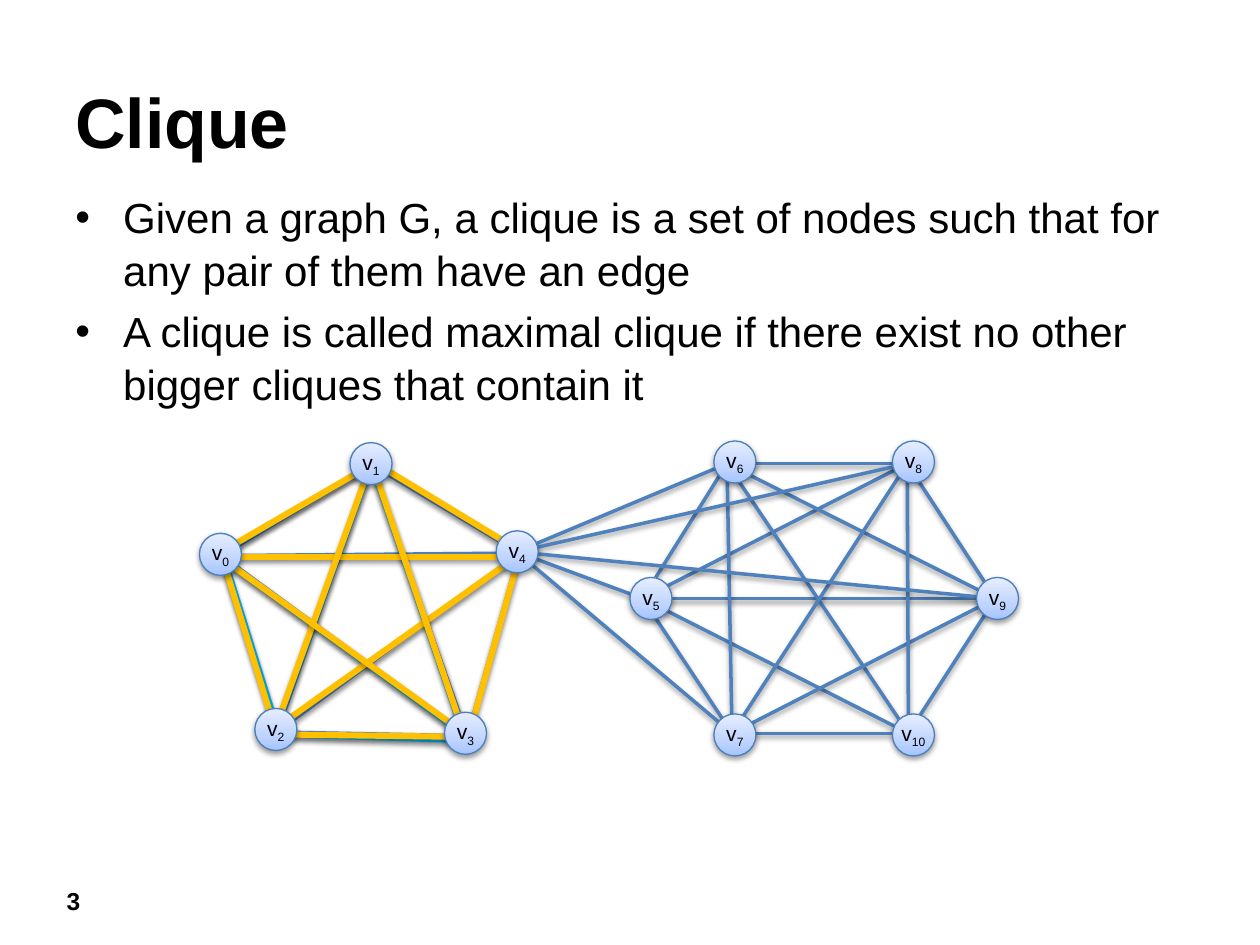
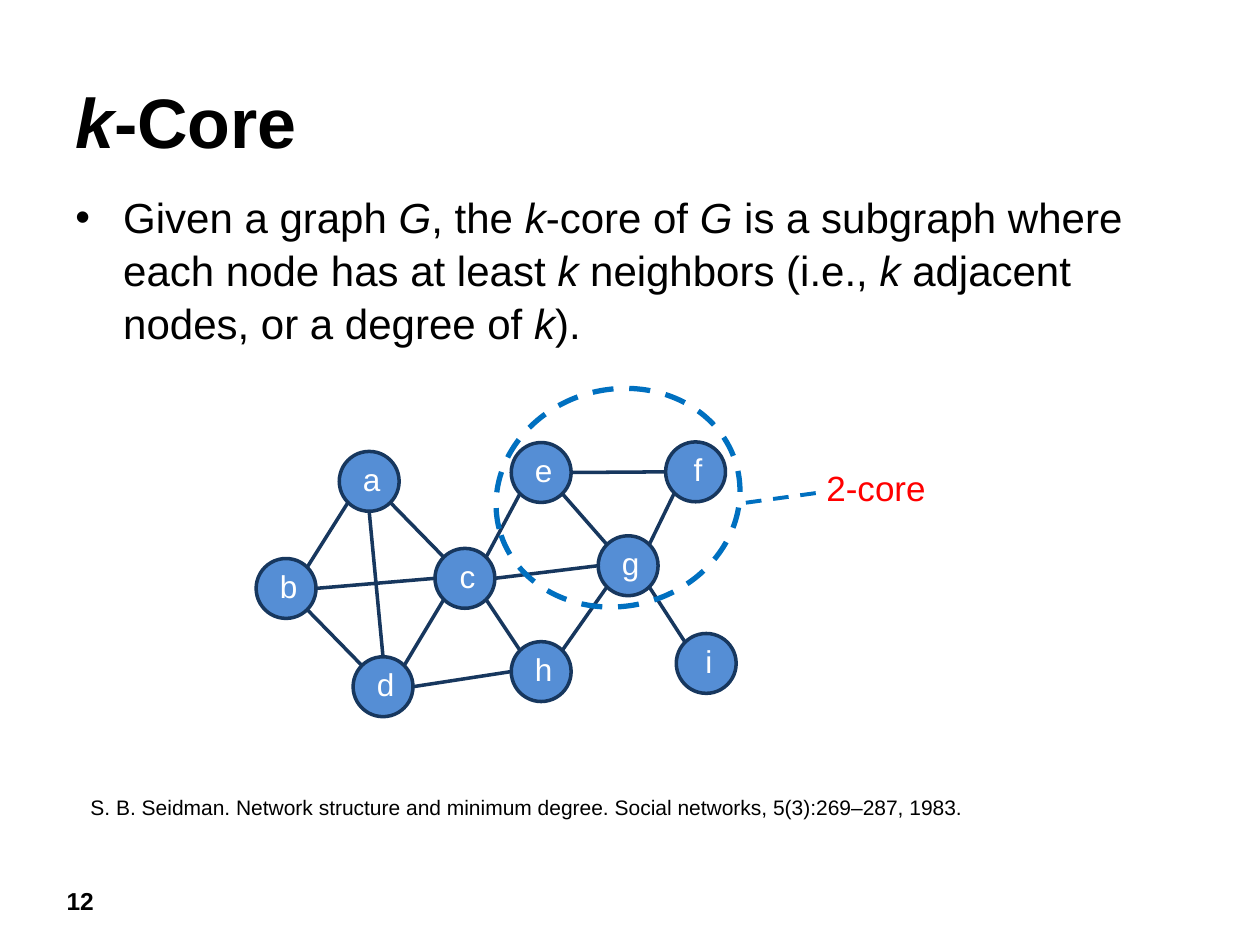
import copy
import itertools
import math

import lxml.etree
import pptx
import pptx.dml.color
import pptx.enum.dml
import pptx.enum.shapes
import pptx.enum.text
import pptx.oxml.ns
import pptx.util

RGBColor = pptx.dml.color.RGBColor
SHAPE = pptx.enum.shapes.MSO_SHAPE
ANCHOR = pptx.enum.text.MSO_ANCHOR
ALIGN = pptx.enum.text.PP_ALIGN
DASH = pptx.enum.dml.MSO_LINE.DASH
Pt = pptx.util.Pt
qn = pptx.oxml.ns.qn

BLACK = RGBColor(0x00, 0x00, 0x00)
WHITE = RGBColor(0xFF, 0xFF, 0xFF)
RED = RGBColor(0xFF, 0x00, 0x00)
EDGE_BLUE = RGBColor(0x4F, 0x81, 0xBD)
RIM_BLUE = RGBColor(0x4B, 0x7E, 0xBC)
CYAN = RGBColor(0x00, 0xB0, 0xF0)
GOLD = RGBColor(0xFF, 0xC0, 0x00)
NAVY = RGBColor(0x17, 0x37, 0x5E)
NODE_BLUE = RGBColor(0x55, 0x8E, 0xD5)
CORE_BLUE = RGBColor(0x00, 0x70, 0xC0)
GRADIENT = [(0, RGBColor(0xA4, 0xC4, 0xFF)), (0.35, RGBColor(0xBF, 0xD4, 0xFF)),
            (1, RGBColor(0xE6, 0xEE, 0xFF))]

FONT = "Arial"
COLUMNS, ROWS = 100, 75
SOFT = (38, 1.6)
STRONG = (35, 1.8)


class Deck:
    def __init__(self):
        self.prs = pptx.Presentation()
        self.prs.slide_width = pptx.util.Inches(10)
        self.prs.slide_height = pptx.util.Inches(7.5)
        self.s = None

    def x(self, columns):
        return round(self.prs.slide_width * columns / COLUMNS)

    def y(self, rows):
        return round(self.prs.slide_height * rows / ROWS)

    def box(self, left, top, width, height):
        return self.x(left), self.y(top), self.x(width), self.y(height)

    def slide(self, title, number):
        self.s = self.prs.slides.add_slide(self.prs.slide_layouts[6])
        self.text((4.3, 69.8, 4.7, 3.4), [str(number)], 14, bold=True)
        self.text((5, 5.2, 90, 8.7), [title], 40, bold=True, anchor=ANCHOR.MIDDLE)

    def run(self, p, text, size, color=BLACK, bold=False, italic=False, baseline=0):
        r = p.add_run()
        r.text = text
        r.font.name, r.font.size = FONT, Pt(size)
        r.font.bold, r.font.italic = bold, italic
        r.font.color.rgb = color
        if baseline:
            r.font._element.set("baseline", str(baseline * 1000))

    def text(self, place, lines, size, color=BLACK, bold=False, anchor=ANCHOR.TOP, bullet=False):
        tf = self.s.shapes.add_textbox(*self.box(*place)).text_frame
        tf.word_wrap = True
        tf.vertical_anchor = anchor
        for i, line in enumerate(lines):
            p = tf.add_paragraph() if i else tf.paragraphs[0]
            if bullet:
                self.bullet(p, size)
            for j, part in enumerate(line.split("*")):
                if part:
                    self.run(p, part, size, color, bold, italic=j % 2 == 1)

    def bullet(self, p, size):
        p.space_before = Pt(size * 0.2)
        p.line_spacing = 1.05
        pPr = p._p.get_or_add_pPr()
        pPr.set("marL", str(self.x(3.8)))
        pPr.set("indent", str(-self.x(3.8)))
        lxml.etree.SubElement(pPr, qn("a:buFont")).set("typeface", FONT)
        lxml.etree.SubElement(pPr, qn("a:buChar")).set("char", "•")

    def body(self, lines):
        self.text((5, 14.5, 90, 18.9), lines, 24, bullet=True)

    def effect(self, sp, shadow):
        effects = lxml.etree.SubElement(sp._element.spPr, qn("a:effectLst"))
        if shadow:
            alpha, distance = shadow
            outer = lxml.etree.SubElement(effects, qn("a:outerShdw"), blurRad=str(Pt(3.1)),
                                          dist=str(Pt(distance)), dir="5400000", rotWithShape="0")
            tint = lxml.etree.SubElement(outer, qn("a:srgbClr"), val=str(BLACK))
            lxml.etree.SubElement(tint, qn("a:alpha"), val=str(alpha * 1000))

    def outline(self, sp, color, width, dash=None, shadow=None):
        sp.line.color.rgb = color
        sp.line.width = Pt(width)
        if dash:
            sp.line.dash_style = dash
        self.effect(sp, shadow)

    def edge(self, start, end, color, width, dash=None, shadow=None):
        sp = self.s.shapes.add_connector(
            pptx.enum.shapes.MSO_CONNECTOR.STRAIGHT,
            self.x(start[0]), self.y(start[1]), self.x(end[0]), self.y(end[1]))
        self.outline(sp, color, width, dash, shadow)

    def label_frame(self, sp, left=0, bottom=0):
        tf = sp.text_frame
        tf.margin_left, tf.margin_bottom = self.x(left), self.y(bottom)
        tf.margin_right = tf.margin_top = 0
        tf.vertical_anchor = ANCHOR.MIDDLE
        p = tf.paragraphs[0]
        p.alignment = ALIGN.CENTER
        return p

    def disc(self, kind, center, size):
        return self.s.shapes.add_shape(
            kind, *self.box(center[0] - size / 2, center[1] - size / 2, size, size))

    def vertex(self, center, index):
        sp = self.disc(SHAPE.FLOWCHART_CONNECTOR, center, 3.34)
        sp.fill.gradient()
        sp.fill.gradient_angle = 90
        first = sp.fill.gradient_stops[0]._gs
        first.addnext(copy.deepcopy(first))
        for stop, (position, color) in zip(sp.fill.gradient_stops, GRADIENT):
            stop.position = position
            stop.color.rgb = color
        self.outline(sp, RIM_BLUE, 0.75, shadow=SOFT)
        p = self.label_frame(sp)
        self.run(p, "v", 12)
        self.run(p, str(index), 12, baseline=-25)

    def node(self, center, size, name):
        sp = self.disc(SHAPE.OVAL, center, size)
        sp.fill.solid()
        sp.fill.fore_color.rgb = NODE_BLUE
        self.outline(sp, NAVY, 2)
        self.run(self.label_frame(sp, left=0.4, bottom=0.4), name, 18, WHITE)

    def ring(self, place, rotation):
        sp = self.s.shapes.add_shape(SHAPE.OVAL, *self.box(*place))
        sp.rotation = rotation
        sp.fill.background()
        self.outline(sp, CORE_BLUE, 3, DASH)


def rim_point(center, target, radius):
    angle = math.atan2(target[1] - center[1], target[0] - center[0])
    step = math.pi / 4
    angle = round(angle / step) * step
    return center[0] + radius * math.cos(angle), center[1] + radius * math.sin(angle)


deck = Deck()

deck.slide("Clique", 3)
deck.body([
    "Given a graph G, a clique is a set of nodes such that for any pair of them have an edge",
    "A clique is called maximal clique if there exist no other bigger cliques that contain it",
])

hexagon = {5: (51, 47.5), 6: (57.7, 36.8), 7: (58.1, 58.2),
           8: (72, 36.8), 9: (79, 47.5), 10: (72.1, 58.2)}
pentagon = {0: (17.6, 44.1), 1: (29.5, 36.9), 2: (22, 58.1), 3: (37.1, 58.4), 4: (41.2, 43.9)}
bridge = (41, 43.8)
cyan_edges = [
    ((18.2, 43.5), (29.7, 36.8)), ((17.7, 43.9), (22, 57.7)), ((21.8, 58.3), (37.7, 58.8)),
    ((29.6, 37.2), (37.1, 59.3)), ((29.5, 36.8), (21.5, 59)), ((17.8, 44.5), (37.2, 58.6)),
]
gold_edges = [
    ((29.8, 36.7), (17.9, 43.6)), ((41.4, 43.8), (29.7, 36.7)), ((37.2, 58.4), (41.2, 44.2)),
    ((38.1, 58.5), (23.1, 58.3)), ((17.6, 44.1), (21.9, 58.1)), ((42, 44.2), (18.5, 44.2)),
    ((40.7, 44.4), (22.7, 57.2)), ((29.5, 36.6), (21.9, 57.7)), ((29.5, 36.7), (36.8, 58.2)),
    ((17.3, 44.1), (36.6, 58)),
]
vertices = [(17.5, 44), (29.45, 36.8), (21.9, 57.9), (36.95, 58.2), (41.05, 43.8), (51.67, 47.5),
            (58.33, 36.67), (58.33, 58.33), (72.5, 36.67), (79.17, 47.5), (72.5, 58.33)]

for clique in (hexagon, pentagon):
    for start, end in itertools.combinations(clique.values(), 2):
        deck.edge(start, end, EDGE_BLUE, 2, shadow=SOFT)
for index in range(5, 10):
    deck.edge(hexagon[index], bridge, EDGE_BLUE, 2, shadow=SOFT)
for edges, color, width in ((cyan_edges, CYAN, 3), (gold_edges, GOLD, 3.5)):
    for start, end in edges:
        deck.edge(start, end, color, width, shadow=STRONG)
for index, center in enumerate(vertices):
    deck.vertex(center, index)

deck.slide("*k*-Core", 12)
deck.body([
    "Given a graph *G*, the *k*-core of *G* is a subgraph where each node has at least *k* "
    "neighbors (i.e., *k* adjacent nodes, or a degree of *k*).",
])
deck.text((6.2, 62.6, 95, 3), [
    "S. B. Seidman. Network structure and minimum degree. Social networks, 5(3):269–287, 1983.",
], 12)
deck.text((64.6, 36.5, 34.2, 4.4), ["2-core"], 20, RED)
deck.edge((59.2, 39.9), (65, 39.1), CORE_BLUE, 2.25, DASH)

node_size = 4.75
nodes = {"a": (29.3, 38.2), "b": (22.7, 46.7), "c": (36.9, 45.9), "d": (30.4, 54.5),
         "e": (42.95, 37.5), "f": (55.2, 37.45), "g": (49.85, 44.9), "h": (42.95, 53.3),
         "i": (56.05, 52.65)}
for name, center in nodes.items():
    deck.node(center, node_size, name)
for first, second in "ac ab bd cd bc ad ce ch dh cg eg gh gi ef fg".split():
    start, end = nodes[first], nodes[second]
    deck.edge(rim_point(start, end, node_size / 2), rim_point(end, start, node_size / 2), NAVY, 2)
deck.ring((39.3, 30.9, 19.5, 17.2), 345.3)

deck.prs.save("out.pptx")
